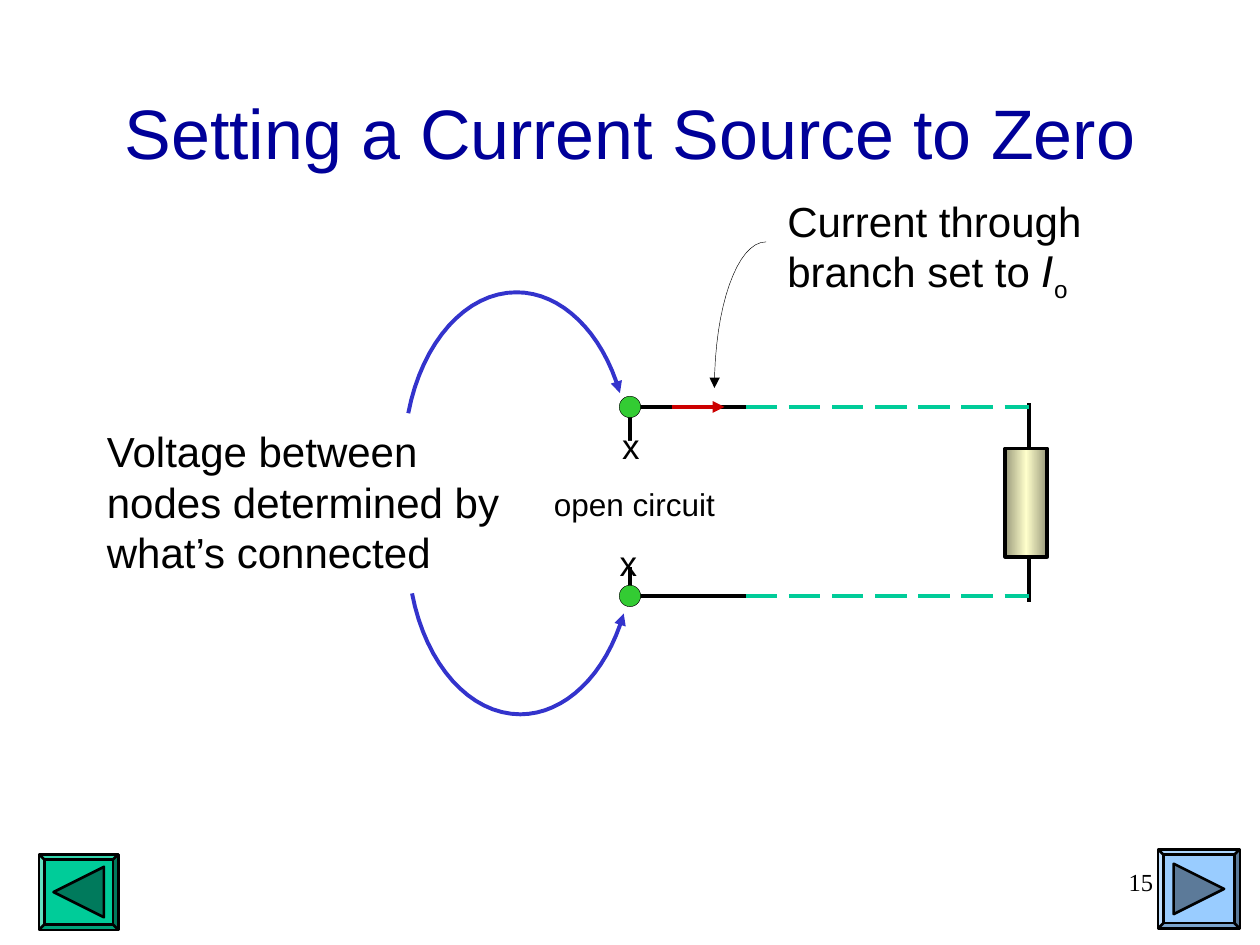
from copy import deepcopy

from pptx import Presentation
from pptx.dml.color import RGBColor
from pptx.enum.dml import MSO_LINE
from pptx.enum.shapes import MSO_CONNECTOR, MSO_SHAPE
from pptx.enum.text import MSO_ANCHOR, PP_ALIGN
from pptx.oxml.ns import qn
from pptx.util import Inches, Pt

BLACK = RGBColor(0, 0, 0)
WHITE = RGBColor(0xFF, 0xFF, 0xFF)
NAVY = RGBColor(0x00, 0x00, 0x99)
ARC_BLUE = RGBColor(0x33, 0x33, 0xCC)
TEAL = RGBColor(0x00, 0xCC, 0x99)
DARK_TEAL = RGBColor(0x00, 0x7A, 0x5C)
SKY = RGBColor(0x99, 0xCC, 0xFF)
DARK_SKY = RGBColor(0x5C, 0x7A, 0x99)
GREEN = RGBColor(0x33, 0xCC, 0x33)
RED = RGBColor(0xCC, 0x00, 0x00)
CREAM = RGBColor(0xFF, 0xFF, 0xCC)
OLIVE = RGBColor(0x9B, 0x9B, 0x7C)


def set_line(line, color, width, arrow=False):
    line.color.rgb = color
    line.width = Pt(width)
    if arrow:
        ln = line.fill._xPr
        ln.append(ln.makeelement(qn("a:tailEnd"), {"type": "triangle"}))


def add_line(slide, start, end, color=BLACK, dash=None, arrow=False):
    cx = slide.shapes.add_connector(MSO_CONNECTOR.STRAIGHT, *map(Inches, start + end))
    set_line(cx.line, color, 2.25, arrow)
    if dash:
        cx.line.dash_style = dash
    sppr = cx._element.spPr
    sppr.append(sppr.makeelement(qn("a:effectLst"), {}))


def add_shape(slide, kind, box, fill, width):
    sp = slide.shapes.add_shape(kind, *map(Inches, box))
    sp.shadow.inherit = False
    sp.fill.solid()
    sp.fill.fore_color.rgb = fill
    if width:
        set_line(sp.line, BLACK, width)
    else:
        sp.line.fill.background()
    return sp


def write(tf, lines, size, color=BLACK, font="Arial", align=PP_ALIGN.LEFT):
    tf.text = "\n".join(lines)
    for p in tf.paragraphs:
        p.alignment = align
        for r in p.runs:
            r.font.size = Pt(size)
            r.font.name = font
            r.font.color.rgb = color


def add_text(slide, box, lines, size, wrap=True, anchor=MSO_ANCHOR.TOP, **style):
    tf = slide.shapes.add_textbox(*map(Inches, box)).text_frame
    tf.word_wrap = wrap
    tf.vertical_anchor = anchor
    write(tf, lines, size, **style)
    return tf


def add_curve(slide, curves, color, width, steps=16):
    """Draw joined cubic Bezier curves, each of four (x, y) points, ending in an arrow."""
    points = []
    for curve in curves:
        for i in range(steps + 1):
            t = i / steps
            weights = ((1 - t) ** 3, 3 * t * (1 - t) ** 2, 3 * t * t * (1 - t), t ** 3)
            points.append(tuple(Inches(sum(w * c for w, c in zip(weights, axis)))
                                for axis in zip(*curve)))
    fb = slide.shapes.build_freeform(*points[0], scale=1.0)
    fb.add_line_segments(points[1:], close=False)
    sp = fb.convert_to_shape()
    sp.shadow.inherit = False
    sp.fill.background()
    set_line(sp.line, color, width, arrow=True)


def add_nav_button(slide, box, fill, dark, rotation):
    left, top, width, height = box
    bevel = add_shape(slide, MSO_SHAPE.BEVEL, box, fill, 1.5)
    bevel.adjustments[0] = 0.07
    side = 0.4
    tri = add_shape(slide, MSO_SHAPE.ISOSCELES_TRIANGLE,
                    (left + (width - side) / 2, top + (height - side) / 2, side, side),
                    dark, 1.5)
    tri.rotation = rotation


def add_voltage_note(slide, left, top):
    add_text(slide, (left, top + 1.01, 3.31, 1.3),
             ["Voltage between", "nodes determined by", "what’s connected"], 24, wrap=False)
    x = left + 2.49
    # The lower arc mirrors the upper one and sits slightly to the right
    for dx, base, sign in ((0, top + 0.96, -1), (0.03, top + 2.39, 1)):
        def at(px, rise):
            return x + dx + px, base + sign * rise

        add_curve(slide, [
            (at(0, 0), at(0.11, 0.57), at(0.46, 0.96), at(0.86, 0.96)),
            (at(0.86, 0.96), at(1.21, 0.96), at(1.54, 0.65), at(1.68, 0.16)),
        ], ARC_BLUE, 2.25)


def add_load(slide, left, right, top, bottom):
    """Resistor on the right, joined by dashed wires to the branch on the left."""
    add_line(slide, (right, top - 0.03), (right, bottom + 0.05))
    body = add_shape(slide, MSO_SHAPE.RECTANGLE,
                     (right - 0.19, top + 0.33, 0.33, 0.86), CREAM, 2.25)
    body.fill.gradient()
    body.fill.gradient_angle = 0
    stops = body.fill._xPr.find(qn("a:gradFill")).find(qn("a:gsLst"))
    stops.insert(1, deepcopy(stops[0]))
    for stop, position, color in zip(body.fill.gradient_stops, (0, 0.5, 1),
                                     (OLIVE, CREAM, OLIVE)):
        stop.position = position
        stop.color.rgb = color
    for y in (bottom, top):
        add_line(slide, (left, y), (right, y), TEAL, MSO_LINE.LONG_DASH)


def add_current_note(slide, left, top):
    tf = add_text(slide, (left, top, 2.63, 0.96), ["Current through", "branch set to "], 24)
    p = tf.paragraphs[1]
    for text, font in (("I", "DejaVu Sans"), ("o", "Arial")):
        r = p.add_run()
        r.text = text
        r.font.size = Pt(24)
        r.font.name = font
        r.font.color.rgb = BLACK
        r.font.italic = text == "I"
    r.font._element.set("baseline", "-25000")
    x, y = left - 0.07, top + 0.42
    add_curve(slide, [((x, y), (x - 0.23, y), (x - 0.41, y + 0.52), (x - 0.41, y + 1.16))],
              BLACK, 0.25)


def add_open_branch(slide, x, right, top, bottom):
    dot = 0.17
    add_line(slide, (x, top), (x, top + 0.42))
    add_line(slide, (x, bottom), (x, bottom - 0.38))
    for y in (top, bottom):
        add_line(slide, (x, y), (right, y))
        add_shape(slide, MSO_SHAPE.OVAL, (x - dot / 2, y - dot / 2, dot, dot), GREEN, 0.25)
    add_line(slide, (x + 0.33, top), (x + 0.75, top), RED, arrow=True)
    gap = add_shape(slide, MSO_SHAPE.RECTANGLE, (x - 0.92, top + 0.27, 1.91, 1), WHITE, 0)
    gap.text_frame.vertical_anchor = MSO_ANCHOR.MIDDLE
    write(gap.text_frame, ["open circuit"], 18, align=PP_ALIGN.CENTER)
    for dx, y in ((-0.16, top + 0.09), (-0.18, top + 1.02)):
        add_text(slide, (x + dx, y, 0.34, 0.44), ["x"], 20, wrap=False)


def main():
    prs = Presentation()
    prs.slide_width, prs.slide_height = Inches(10), Inches(7.5)
    slide = prs.slides.add_slide(prs.slide_layouts[6])

    add_nav_button(slide, (9.19, 6.74, 0.65, 0.63), SKY, DARK_SKY, 90)
    add_nav_button(slide, (0.31, 6.78, 0.63, 0.6), TEAL, DARK_TEAL, 270)
    add_text(slide, (7.17, 6.83, 2.08, 0.5), ["15"], 14,
             font="Times New Roman", align=PP_ALIGN.RIGHT)
    add_text(slide, (0.75, 0.42, 8.5, 1.25), ["Setting a Current Source to Zero"], 40,
             anchor=MSO_ANCHOR.MIDDLE, color=NAVY, align=PP_ALIGN.CENTER)

    top, bottom, joint = 3.23, 4.73, 5.92
    add_voltage_note(slide, 0.75, 2.32)
    add_load(slide, joint, 8.17, top, bottom)
    add_current_note(slide, 6.15, 1.5)
    add_open_branch(slide, 5, joint, top, bottom)
    prs.save("out.pptx")


if __name__ == "__main__":
    main()
